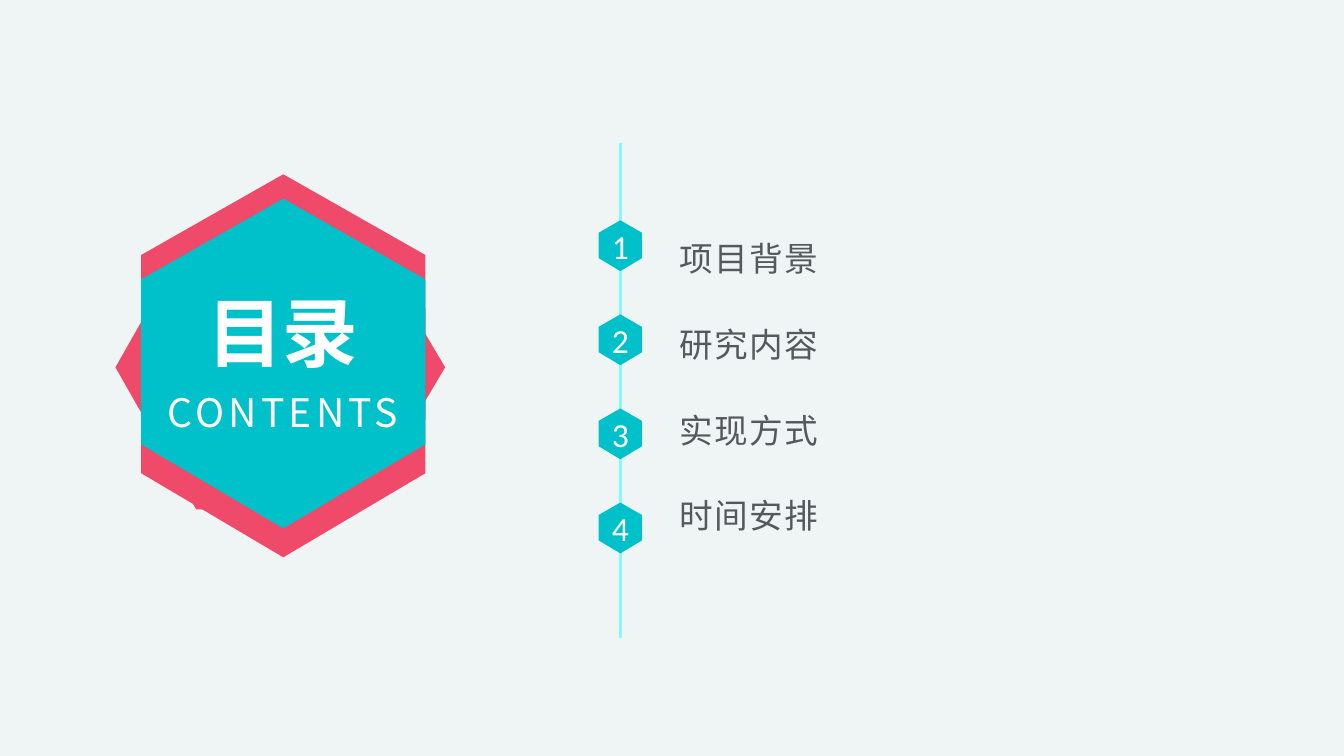
from dataclasses import dataclass

from lxml.etree import SubElement
from pptx import Presentation
from pptx.dml.color import RGBColor as Color
from pptx.enum.shapes import MSO_CONNECTOR as Connector
from pptx.enum.text import MSO_ANCHOR as Anchor, MSO_AUTO_SIZE as AutoSize, PP_ALIGN as Align
from pptx.oxml.ns import qn
from pptx.util import Inches, Pt

COLUMNS, ROWS = 32, 18
CELL = 7.5 / ROWS  # inches, the same across and down
ITEMS = ["项目背景", "研究内容", "实现方式", "时间安排"]
HEXAGON = [(0.5, 0), (1, 0.245), (1, 0.745), (0.5, 1), (0, 0.745), (0, 0.245)]


@dataclass(frozen=True)
class Theme:
    page: str = "EFF5F5"
    accent: str = "EF4A6A"
    main: str = "00C1CA"
    rail: str = "84FAFF"
    ink: str = "55595B"
    light: str = "FFFFFF"
    font: str = "Noto Sans CJK SC"
    digit_font: str = "Calibri"
    title: int = 54
    subtitle: int = 28
    item: int = 24


THEME = Theme()


@dataclass(frozen=True)
class Box:
    """A rectangle in grid cells."""
    left: float
    top: float
    width: float
    height: float

    def inner(self, left, top, width, height):
        return Box(self.left + left, self.top + top, width, height)


def cells(count):
    return Inches(count * CELL)


def place(shape, box):
    shape.left, shape.top = cells(box.left), cells(box.top)
    shape.width, shape.height = cells(box.width), cells(box.height)


def style(para, size, color, font=THEME.font, bold=False, spacing=0, align=Align.LEFT):
    """Format a paragraph; spacing is the gap between letters in points."""
    para.alignment = align
    para.font.size, para.font.bold, para.font.name = Pt(size), bold, font
    para.font.color.rgb = Color.from_string(color)
    properties = para._p.get_or_add_pPr().get_or_add_defRPr()
    properties.set("spc", str(spacing * 100))
    SubElement(properties, qn("a:ea")).set("typeface", font)


def prepare(frame, wrap):
    frame.auto_size, frame.word_wrap = AutoSize.NONE, wrap
    frame.vertical_anchor = Anchor.MIDDLE


def add_hexagon(page, box, color, turn=0):
    points = [(cells(box.left + x * box.width), cells(box.top + y * box.height))
              for x, y in HEXAGON]
    builder = page.shapes.build_freeform(*points[0])
    builder.add_line_segments(points[1:], close=True)
    hexagon = builder.convert_to_shape()
    hexagon.rotation = turn
    hexagon.shadow.inherit = False
    hexagon.fill.solid()
    hexagon.fill.fore_color.rgb = Color.from_string(color)
    hexagon.line.fill.background()
    return hexagon


def add_emblem(page, box):
    """Stack the hexagons and set the heading on the front one."""
    layers = [(-0.07, 0.09, THEME.accent, 270), (0, -0.58, THEME.accent, 0),
              (0, 0.69, THEME.accent, 0), (0, 0, THEME.main, 0)]
    for left, top, color, turn in layers:
        add_hexagon(page, box.inner(left, top, box.width, box.height), color, turn)

    title = page.shapes.title
    title.element.getparent().append(title.element)  # bring to front
    subtitle = page.shapes.add_textbox(0, 0, 0, 0)
    for shape, text, top, size, bold, spacing in [
            (title, "目录", 2.13, THEME.title, True, 0),
            (subtitle, "CONTENTS", 4.05, THEME.subtitle, False, 3)]:
        place(shape, box.inner(1.06, top, 4.63, 2.06))
        prepare(shape.text_frame, wrap=False)
        shape.text_frame.text = text
        style(shape.text_frame.paragraphs[0], size, THEME.light, bold=bold,
              spacing=spacing, align=Align.CENTER)


def add_rail(page, box):
    """Draw the line down the box's left edge."""
    x = cells(box.left)
    rail = page.shapes.add_connector(Connector.STRAIGHT, x, cells(box.top),
                                     x, cells(box.top + box.height))
    rail.line.color.rgb = Color.from_string(THEME.rail)
    rail.line.width = Pt(2)
    SubElement(rail.element.spPr, qn("a:effectLst"))


def add_badge(page, box, number):
    frame = add_hexagon(page, box, THEME.main).text_frame
    prepare(frame, wrap=False)
    frame.margin_left = frame.margin_right = 0
    frame.text = str(number)
    style(frame.paragraphs[0], THEME.item, THEME.light, THEME.digit_font,
          align=Align.CENTER)


def add_agenda(page, box):
    """Set the numbered items along the rail on an even pitch."""
    pitch, first, row_height = 2.24, 1.73, 1.42
    badge_width, badge_height = 1.03, 1.21
    add_rail(page, box)

    body = page.placeholders[1]
    body.element.getparent().append(body.element)
    place(body, box.inner(0.93, first, box.width - 0.93,
                          pitch * (len(ITEMS) - 1) + row_height))
    frame = body.text_frame
    prepare(frame, wrap=True)
    frame.margin_left = Inches(0.2)
    frame.text = "\n".join(ITEMS)
    line_height = THEME.item * 1.448
    for index, para in enumerate(frame.paragraphs):
        style(para, THEME.item, THEME.ink, spacing=1)
        para.space_before = Pt(round(pitch * CELL * 72 - line_height, 1) if index else 0)
        properties = para._p.pPr
        properties.set("marL", "0")
        properties.set("indent", "0")
        properties.insert_element_before(
            properties.makeelement(qn("a:buNone")), "a:tabLst", "a:defRPr")
        middle = first + row_height / 2 + index * pitch
        add_badge(page, box.inner(-badge_width / 2, middle - badge_height / 2,
                                  badge_width, badge_height), index + 1)


def add_contents_page(deck):
    page = deck.slides.add_slide(deck.slide_layouts[1])
    page.background.fill.solid()
    page.background.fill.fore_color.rgb = Color.from_string(THEME.page)
    add_emblem(page, Box(3.36, 4.73, 6.77, 7.85))
    add_agenda(page, Box(14.77, 3.41, 13.15, 11.78))


def main():
    deck = Presentation()
    deck.slide_width, deck.slide_height = cells(COLUMNS), cells(ROWS)
    add_contents_page(deck)
    deck.save("out.pptx")


if __name__ == "__main__":
    main()
